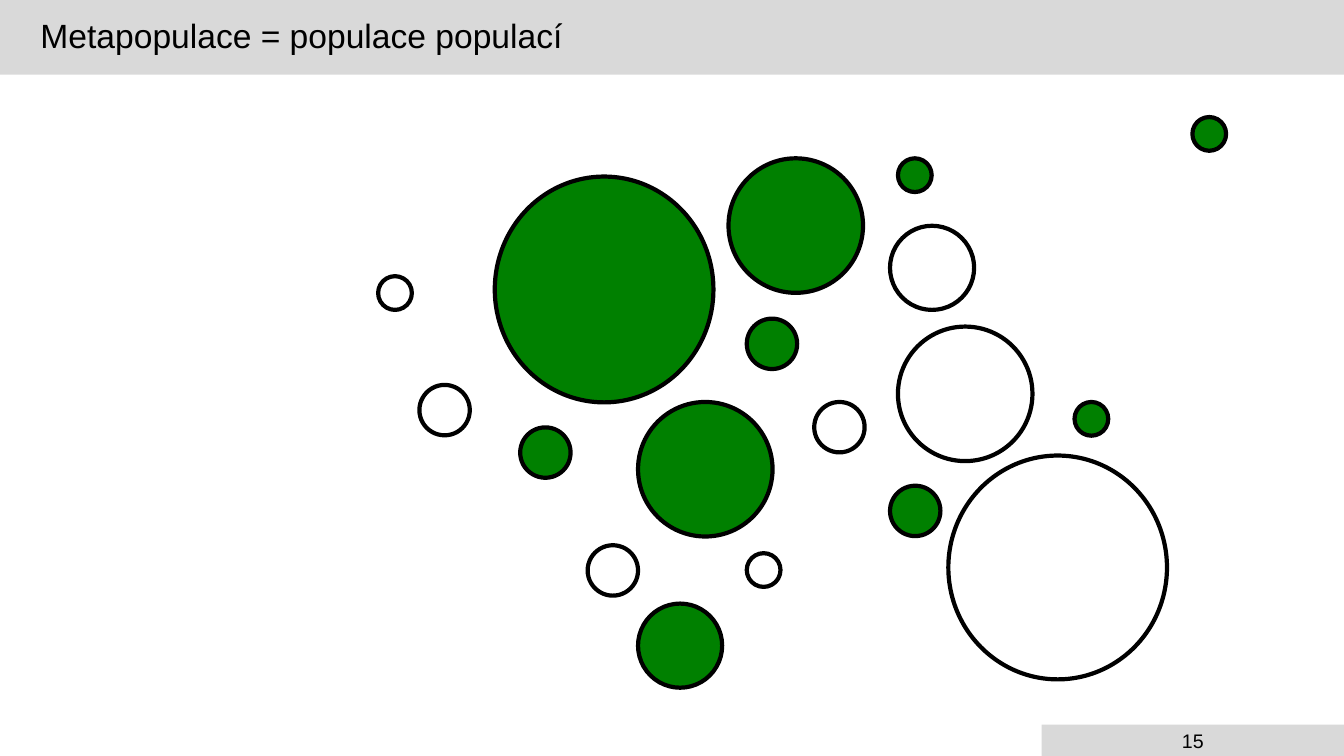
"""Build the metapopulation slide with occupied and empty habitat patches."""
from pptx import Presentation
from pptx import util as u
from pptx.dml.color import RGBColor
from pptx.enum import shapes, text

WIDTH, HEIGHT = 33.87, 19.05
GREY, GREEN, WHITE, BLACK = "D9D9D9", "008000", "FFFFFF", "000000"
TINY, SMALL, MEDIUM, LARGE = 0.85, 1.27, 2.12, 3.39
HUGE_WIDTH = 5.51

OCCUPIED = [
    (13.11, 10.77, SMALL, SMALL),
    (16.08, 10.13, LARGE, LARGE),
    (12.47, 4.45, HUGE_WIDTH, 5.69),
    (18.82, 8.03, SMALL, SMALL),
    (22.43, 12.24, SMALL, SMALL),
    (18.36, 3.99, LARGE, LARGE),
    (16.08, 15.21, MEDIUM, MEDIUM),
    (22.63, 3.99, TINY, TINY),
    (27.08, 10.13, TINY, TINY),
    (30.05, 2.95, TINY, TINY),
]
EMPTY = [
    (14.81, 13.74, SMALL, SMALL),
    (18.82, 13.94, TINY, TINY),
    (22.63, 8.23, LARGE, LARGE),
    (20.52, 10.13, SMALL, SMALL),
    (10.57, 9.7, SMALL, SMALL),
    (23.9, 11.48, HUGE_WIDTH, 5.64),
    (22.43, 5.69, MEDIUM, MEDIUM),
    (9.53, 6.96, TINY, TINY),
]


def color(value):
    return RGBColor.from_string(value)


def assign(target, values):
    for name, value in values.items():
        setattr(target, name, value)


class SlideBuilder:
    font = "Arial"

    def __init__(self, prs):
        self.s = prs.slides.add_slide(prs.slide_layouts[5])

    def fill(self, sp, value):
        sp.fill.solid()
        sp.fill.fore_color.rgb = color(value)

    def label(self, sp, content, size, align):
        tf = sp.text_frame
        assign(tf, {
            "text": content,
            "word_wrap": True,
            "auto_size": text.MSO_AUTO_SIZE.NONE,
            "vertical_anchor": text.MSO_ANCHOR.MIDDLE,
        })
        p = tf.paragraphs[0]
        p.alignment = align
        assign(p.font, {"name": self.font, "size": u.Pt(size)})
        p.font.color.rgb = color(BLACK)

    def title(self, content, height):
        sp = self.s.shapes.title
        assign(sp, {"left": 0, "top": 0, "width": u.Cm(WIDTH), "height": u.Cm(height)})
        self.fill(sp, GREY)
        self.label(sp, content, 24, text.PP_ALIGN.LEFT)
        sp.text_frame.margin_left = u.Cm(1.02)
        sp.text_frame.paragraphs[0].line_spacing = 0.9

    def shape(self, kind, box, fill):
        sp = self.s.shapes.add_shape(kind, *map(u.Cm, box))
        sp.shadow.inherit = False
        self.fill(sp, fill)
        return sp

    def page_number(self, content, width, height):
        box = (WIDTH - width, HEIGHT - height, width, height)
        sp = self.shape(shapes.MSO_SHAPE.RECTANGLE, box, GREY)
        sp.line.fill.background()
        self.label(sp, content, 14, text.PP_ALIGN.CENTER)

    def patch(self, box, fill):
        sp = self.shape(shapes.MSO_SHAPE.OVAL, box, fill)
        sp.line.color.rgb = color(BLACK)
        sp.line.width = u.Pt(3)


def main():
    prs = Presentation()
    assign(prs, {"slide_width": u.Cm(WIDTH), "slide_height": u.Cm(HEIGHT)})
    slide = SlideBuilder(prs)
    slide.title("Metapopulace = populace populací", 1.88)
    slide.page_number("15", 7.62, 0.79)
    for fill, patches in ((GREEN, OCCUPIED), (WHITE, EMPTY)):
        for box in patches:
            slide.patch(box, fill)
    prs.save("out.pptx")


if __name__ == "__main__":
    main()
